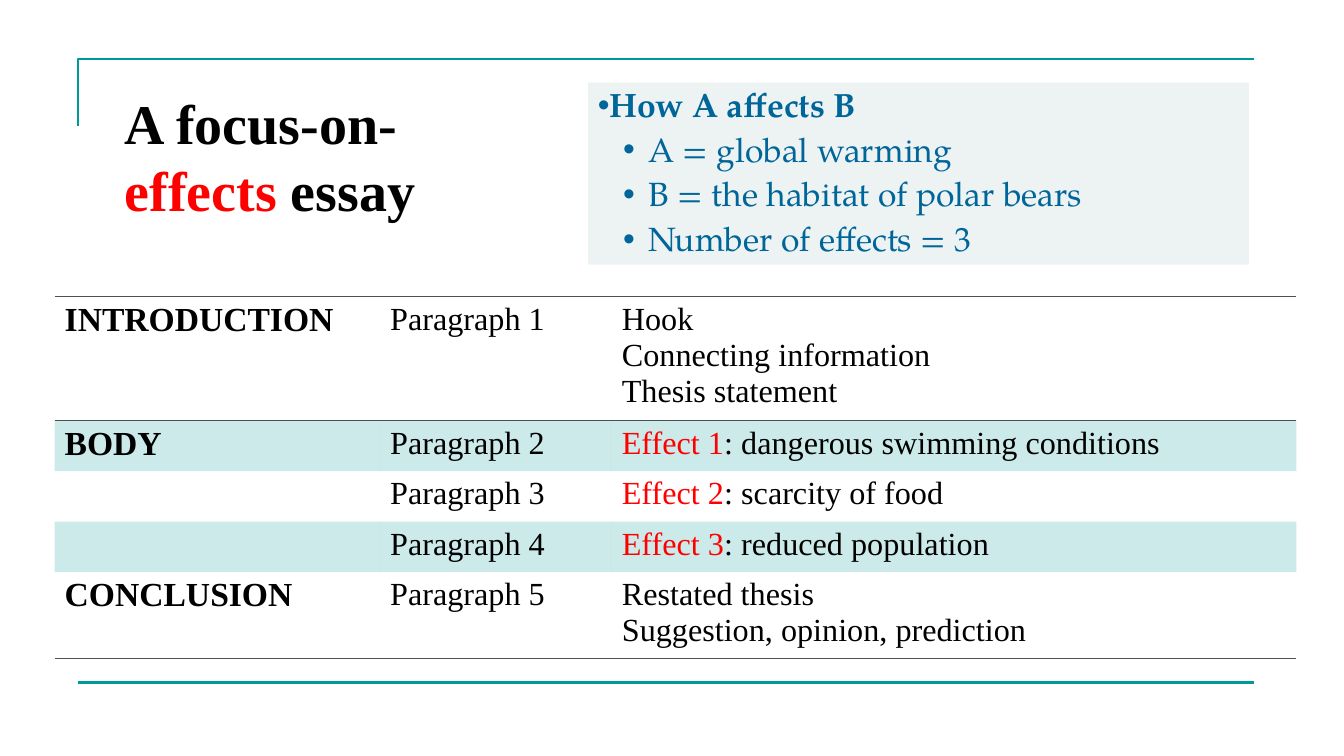
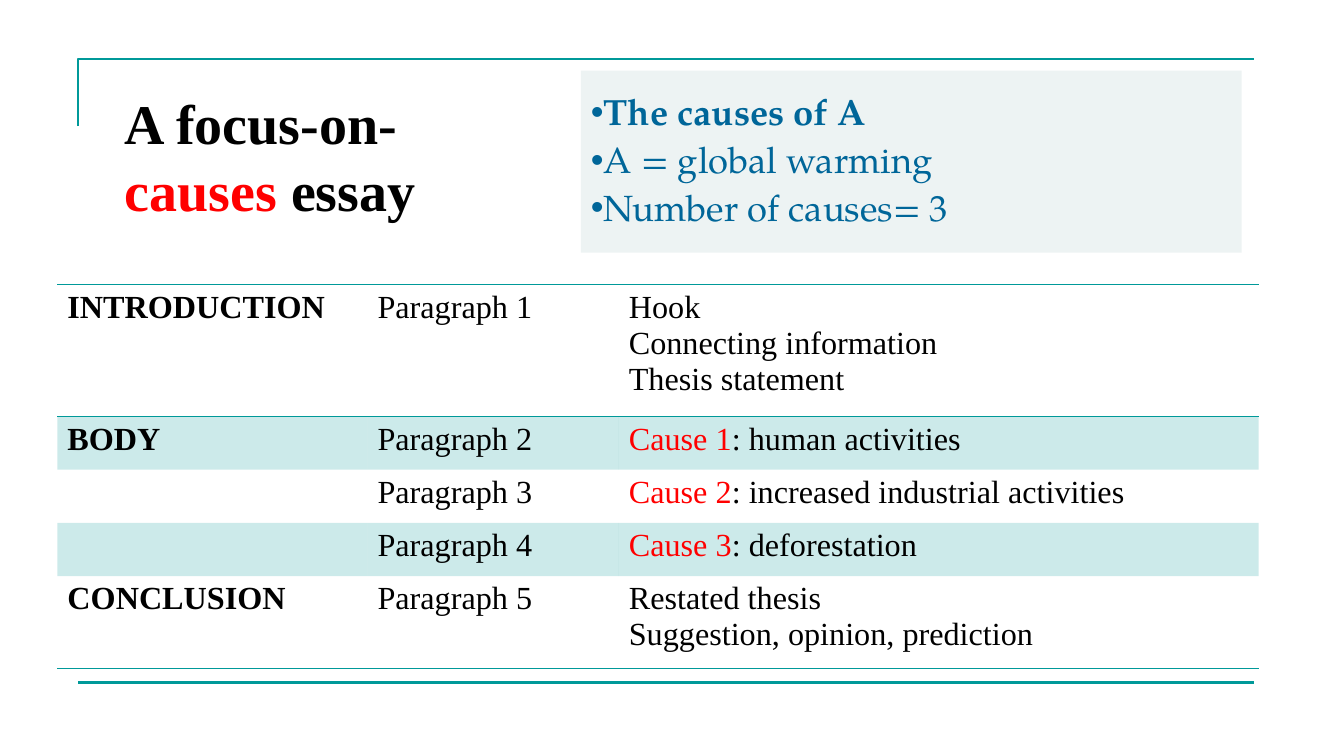
import lxml.etree
import pptx
import pptx.dml.color
import pptx.enum.shapes
import pptx.enum.text
import pptx.oxml
import pptx.oxml.ns
import pptx.util

Pt = pptx.util.Pt
RGBColor = pptx.dml.color.RGBColor
qn = pptx.oxml.ns.qn
MIDDLE = pptx.enum.text.MSO_ANCHOR.MIDDLE
LEFT = pptx.enum.text.PP_ALIGN.LEFT

TEAL = RGBColor(0x00, 0x99, 0x99)
BLUE = RGBColor(0x00, 0x66, 0x99)
PALE = RGBColor(0xED, 0xF3, 0xF3)
RED = RGBColor(0xFF, 0x00, 0x00)
BLACK = RGBColor(0x00, 0x00, 0x00)
GREY = RGBColor(0x50, 0x50, 0x50)
SERIF = "Times New Roman"
BOOK = "TeX Gyre Pagella"
NO_GRID_STYLE = "{2D5ABB26-0587-4C30-8999-92F81FD0307C}"

OPENING = ["Hook", "Connecting information", "Thesis statement"]
CLOSING = ["Restated thesis", "Suggestion, opinion, prediction"]
SECTIONS = ["INTRODUCTION", "BODY", "", "", "CONCLUSION"]
SHADED_ROWS = (1, 3)

# Words between asterisks are red; each point is (text, level)
ESSAYS = [
    {
        "title": "A focus-on-*effects* essay",
        "points": [("How A affects B", 0), ("A = global warming", 1),
                   ("B = the habitat of polar bears", 1), ("Number of effects = 3", 1)],
        "box_at": (420, 59), "point_size": 24,
        "body": ["*Effect 1*: dangerous swimming conditions",
                 "*Effect 2*: scarcity of food", "*Effect 3*: reduced population"],
        "table_at": (39, 212), "columns": (232.5, 165.5, 489),
        "rows": (88.5, 36, 36, 36, 61.5),
        "section_size": 24, "rule": (GREY, 0.5),
    },
    {
        "title": "A focus-on-*causes* essay",
        "points": [("The causes of A", 0), ("A = global warming", 0),
                   ("Number of causes= 3", 0)],
        "box_at": (415, 50.5), "point_size": 26,
        "body": ["*Cause 1*: human activities",
                 "*Cause 2*: increased industrial activities", "*Cause 3*: deforestation"],
        "table_at": (41, 203.5), "columns": (221.5, 179.5, 457),
        "rows": (94, 38, 38, 38, 66),
        "section_size": 23, "rule": (TEAL, 1),
    },
]


def write_spans(para, text, color=BLACK, **font_values):
    for number, words in enumerate(text.split("*")):
        if words:
            span = para.add_run()
            span.text = words
            for name, value in font_values.items():
                setattr(span.font, name, value)
            span.font.color.rgb = RED if number % 2 else color


def draw_rule(cell, side, color, width):
    line = pptx.oxml.parse_xml(
        f'<a:{side} xmlns:a="http://schemas.openxmlformats.org/drawingml/2006/main" '
        f'w="{Pt(width)}"><a:solidFill><a:srgbClr val="{color}"/></a:solidFill></a:{side}>')
    properties = cell._tc.get_or_add_tcPr()
    # Borders stand before the fill, top before bottom
    properties.insert(len(properties.findall(qn("a:lnT"))), line)


deck = pptx.Presentation()
deck.slide_width, deck.slide_height = Pt(960), Pt(540)

# Shared layout: title place and frame lines
layout = deck.slide_layouts[5]
layout_title = layout.placeholders[0]
for name, value in {"left": 82, "top": 46, "width": 280, "height": 130}.items():
    setattr(layout_title, name, Pt(value))

for essay in ESSAYS:
    page = deck.slides.add_slide(layout)

    if essay is ESSAYS[0]:
        builder = page.shapes.build_freeform(56, 90, scale=Pt(1))
        builder.add_line_segments([(56, 42), (896, 42)], close=False)
        corner = builder.convert_to_shape()
        corner.fill.background()
        corner.shadow.inherit = False
        base = page.shapes.add_connector(
            pptx.enum.shapes.MSO_CONNECTOR.STRAIGHT, Pt(56), Pt(487.5), Pt(896), Pt(487.5))
        for frame_line in (corner, base):
            frame_line.line.color.rgb = TEAL
            frame_line.line.width = Pt(1.5)
            layout.shapes.element.append(frame_line.element)
        lxml.etree.SubElement(base.element.spPr, qn("a:effectLst"))

    # Title
    title_frame = page.shapes.title.text_frame
    title_frame.auto_size = pptx.enum.text.MSO_AUTO_SIZE.NONE
    title_frame.vertical_anchor = MIDDLE
    title_frame.paragraphs[0].alignment = LEFT
    write_spans(title_frame.paragraphs[0], essay["title"], name=SERIF, size=Pt(40), bold=True)

    # Essay outline table
    left, top = essay["table_at"]
    graphic = page.shapes.add_table(
        5, 3, Pt(left), Pt(top), Pt(sum(essay["columns"])), Pt(sum(essay["rows"])))
    table = graphic.table
    table.first_row = table.horz_banding = False
    graphic.element.find(".//" + qn("a:tableStyleId")).text = NO_GRID_STYLE
    for column, width in zip(table.columns, essay["columns"]):
        column.width = Pt(width)
    for row, height in zip(table.rows, essay["rows"]):
        row.height = Pt(height)

    details = [OPENING] + [[line] for line in essay["body"]] + [CLOSING]
    for row_number, (section, detail) in enumerate(zip(SECTIONS, details)):
        contents = [[section], [f"Paragraph {row_number + 1}"], detail]
        for column_number, lines in enumerate(contents):
            cell = table.cell(row_number, column_number)
            is_section = column_number == 0
            size = essay["section_size"] if is_section else 23
            for line_number, line in enumerate(lines):
                frame = cell.text_frame
                para = frame.add_paragraph() if line_number else frame.paragraphs[0]
                write_spans(para, line, name=SERIF, size=Pt(size), bold=is_section)
            if row_number in SHADED_ROWS:
                cell.fill.solid()
                cell.fill.fore_color.rgb = TEAL
                tint = cell._tc.tcPr.find(".//" + qn("a:srgbClr"))
                lxml.etree.SubElement(tint, qn("a:alpha")).set("val", "20000")
            else:
                cell.fill.background()
            if row_number == 0:
                draw_rule(cell, "lnT", *essay["rule"])
            if row_number in (0, 4):
                draw_rule(cell, "lnB", *essay["rule"])

    # Key points box
    left, top = essay["box_at"]
    box = page.shapes.add_shape(
        pptx.enum.shapes.MSO_SHAPE.RECTANGLE, Pt(left), Pt(top), Pt(472), Pt(130))
    box.shadow.inherit = False
    box.fill.solid()
    box.fill.fore_color.rgb = PALE
    box.line.fill.background()
    frame = box.text_frame
    frame.word_wrap = True
    frame.vertical_anchor = MIDDLE
    for number, (text, level) in enumerate(essay["points"]):
        para = frame.add_paragraph() if number else frame.paragraphs[0]
        para.alignment = LEFT
        para.line_spacing = 0.9
        para.space_before = Pt(6 if number else 0)
        write_spans(para, text, BLUE, name=BOOK, size=Pt(essay["point_size"]),
                    bold=number == 0)
        properties = para._p.get_or_add_pPr()
        properties.set("marL", str(Pt(36 * level)))
        properties.set("indent", str(Pt(-18 * level)))
        bullet_color = lxml.etree.SubElement(properties, qn("a:buClr"))
        lxml.etree.SubElement(bullet_color, qn("a:srgbClr")).set("val", str(BLUE))
        lxml.etree.SubElement(properties, qn("a:buFont")).set("typeface", "Arial")
        lxml.etree.SubElement(properties, qn("a:buChar")).set("char", "•")

deck.save("out.pptx")
